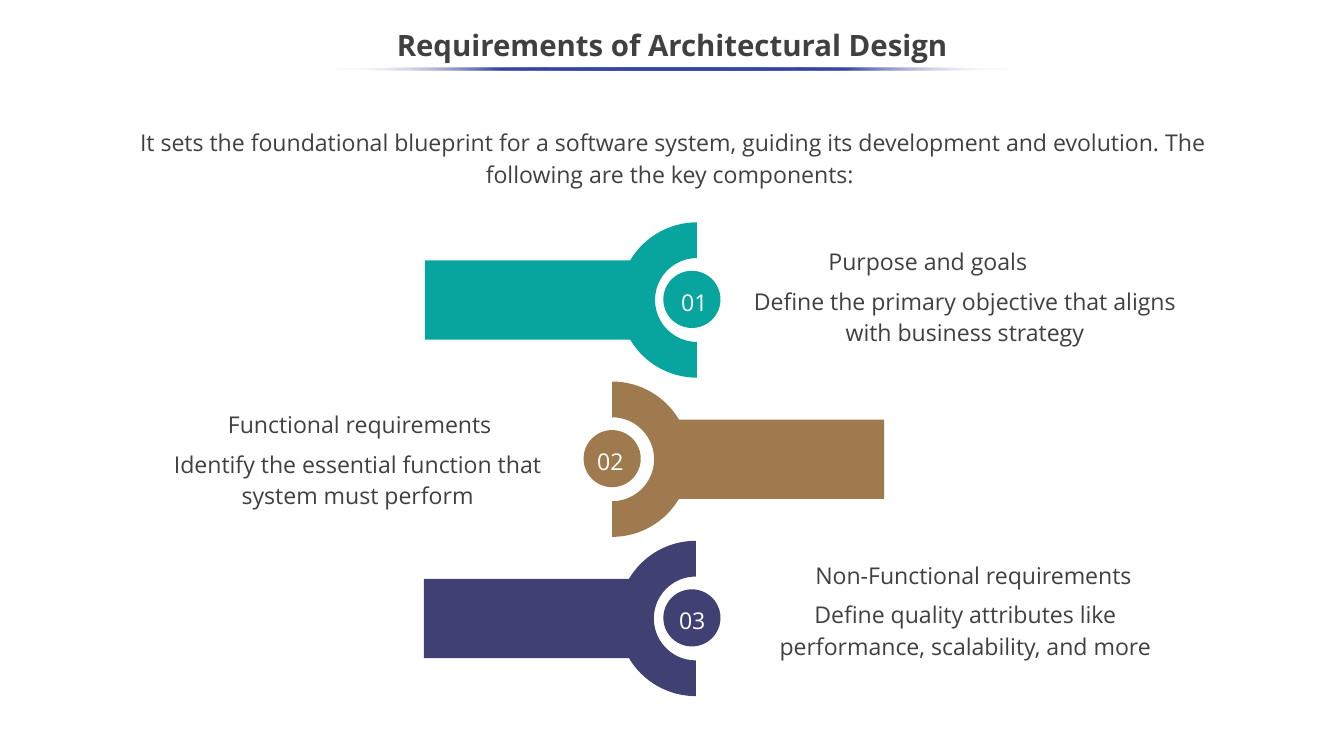
from dataclasses import dataclass
from math import asin, cos, degrees, sin

from lxml.etree import SubElement
from pptx import Presentation
from pptx.dml.color import RGBColor
from pptx.enum.shapes import MSO_SHAPE as Preset
from pptx.enum.text import MSO_ANCHOR as Anchor, PP_ALIGN as Align
from pptx.oxml.ns import qn
from pptx.shapes.autoshape import Shape
from pptx.slide import Slide
from pptx.util import Cm, Pt


@dataclass(frozen=True)
class Theme:
    font: str = "Open Sans"
    text: str = "404040"
    white: str = "FFFFFF"
    rule: str = "3645A9"
    teal: str = "07A59D"
    brown: str = "9F7A4E"
    indigo: str = "404172"
    title_size: int = 28
    body_size: int = 22


@dataclass(frozen=True)
class Box:
    left: float
    top: float
    width: float
    height: float

    def lengths(self) -> list[Cm]:
        return [Cm(v) for v in (self.left, self.top, self.width, self.height)]


@dataclass(frozen=True)
class Requirement:
    number: str
    heading: str
    detail: str
    color: str
    tail: int  # direction of the bar: -1 left, 1 right
    edge_x: float
    disc_x: float
    number_x: float
    heading_box: Box
    detail_left: float
    detail_width: float


THEME = Theme()
PAGE_WIDTH, PAGE_HEIGHT = 45.16, 25.4
FIRST_ROW, ROW_GAP = 10.08, 5.35
OUTER_RADIUS, INNER_RADIUS = 2.61, 1.41
BAR_REACH, BAR_HALF = 9.14, 1.33
DISC_SIZE = 1.92
LABEL_HEIGHT, DETAIL_HEIGHT, DETAIL_DROP = 1.24, 2.46, 1.22

REQUIREMENTS = [
    Requirement("01", "Purpose and goals",
                "Define the primary objective that aligns with business strategy",
                THEME.teal, -1, 23.42, 23.25, 23.33,
                Box(26.97, 8.1, 8.41, LABEL_HEIGHT), 24.43, 15.98),
    Requirement("02", "Functional requirements",
                "Identify the essential function that system must perform",
                THEME.brown, 1, 20.57, 20.57, 20.51,
                Box(6.99, 13.59, 10.19, LABEL_HEIGHT), 4.75, 14.53),
    Requirement("03", "Non-Functional requirements",
                "Define quality attributes like performance, scalability, and more",
                THEME.indigo, -1, 23.38, 23.25, 23.26,
                Box(25.94, 18.64, 13.54, LABEL_HEIGHT), 25.17, 14.53),
]


def add_text(page: Slide, box: Box, text: str, color: str = THEME.text,
             size: int = THEME.body_size, bold: bool = False,
             anchor: Anchor = Anchor.MIDDLE, spacing: float = 1.13,
             margins: tuple[float, float] = (0.25, 0.13)) -> None:
    frame = page.shapes.add_textbox(*box.lengths()).text_frame
    frame.word_wrap = True
    frame.vertical_anchor = anchor
    frame.margin_left = frame.margin_right = Cm(margins[0])
    frame.margin_top = frame.margin_bottom = Cm(margins[1])
    frame.text = text
    para = frame.paragraphs[0]
    para.alignment = Align.CENTER
    para.line_spacing = spacing
    for span in para.runs:
        span.font.name = THEME.font
        span.font.size = Pt(size)
        span.font.bold = bold
        span.font.color.rgb = RGBColor.from_string(color)


def paint(shape: Shape, color: str) -> None:
    shape.shadow.inherit = False
    shape.fill.solid()
    shape.fill.fore_color.rgb = RGBColor.from_string(color)
    shape.line.fill.background()


def add_title_rule(page: Slide) -> None:
    rule = page.shapes.add_shape(Preset.OVAL, *Box(11, 2.26, 23.14, 0.1).lengths())
    paint(rule, THEME.rule)
    rule.fill.gradient()
    rule.fill.gradient_angle = 0
    # Gradient stops, clear at both ends
    stops = next(rule.element.iter(qn("a:gsLst")))
    for stop in list(stops):
        stops.remove(stop)
    for percent in (0, 25, 50, 75, 100):
        is_end = percent in (0, 100)
        stop = SubElement(stops, qn("a:gs"), pos=str(percent * 1000))
        color = SubElement(stop, qn("a:srgbClr"), val=THEME.white if is_end else THEME.rule)
        if is_end:
            SubElement(color, qn("a:alpha"), val="0")


def bend(segment, radius: float, start: float, sweep: float, tail: int) -> None:
    """Turn a straight path segment into an arc, mirrored for a left tail."""
    if tail < 0:
        start, sweep = 180 - start, -sweep
    segment.clear()
    segment.tag = qn("a:arcTo")
    segment.set("wR", str(Cm(radius)))
    segment.set("hR", str(Cm(radius)))
    segment.set("stAng", str(round(start % 360 * 60000)))
    segment.set("swAng", str(round(sweep * 60000)))


def add_hook(page: Slide, edge_x: float, row_y: float, tail: int, color: str) -> None:
    """A half ring opening away from the bar that it holds."""
    join = asin(BAR_HALF / OUTER_RADIUS)
    join_x, join_y = OUTER_RADIUS * cos(join), OUTER_RADIUS * sin(join)
    outline = [
        (0, -OUTER_RADIUS), (join_x, -join_y),
        (BAR_REACH, -BAR_HALF), (BAR_REACH, BAR_HALF),
        (join_x, join_y), (0, OUTER_RADIUS),
        (0, INNER_RADIUS), (0, -INNER_RADIUS),
    ]
    points = [(Cm(edge_x + tail * x), Cm(row_y + y)) for x, y in outline]
    builder = page.shapes.build_freeform(*points[0])
    builder.add_line_segments(points[1:], close=True)
    hook = builder.convert_to_shape()
    segments = list(hook.element.iter(qn("a:lnTo")))
    shoulder = 90 - degrees(join)
    bend(segments[0], OUTER_RADIUS, -90, shoulder, tail)
    bend(segments[4], OUTER_RADIUS, degrees(join), shoulder, tail)
    bend(segments[6], INNER_RADIUS, 90, -180, tail)
    paint(hook, color)


def add_requirement(page: Slide, item: Requirement, row_y: float) -> None:
    # Hook and numbered disc
    add_hook(page, item.edge_x, row_y, item.tail, item.color)
    disc = Box(item.disc_x - DISC_SIZE / 2, row_y - 0.02 - DISC_SIZE / 2, DISC_SIZE, DISC_SIZE)
    paint(page.shapes.add_shape(Preset.OVAL, *disc.lengths()), item.color)
    number_width = 1.75
    add_text(page, Box(item.number_x - number_width / 2, row_y - LABEL_HEIGHT / 2,
                       number_width, LABEL_HEIGHT), item.number, THEME.white)
    # Heading and detail
    add_text(page, item.heading_box, item.heading)
    add_text(page, Box(item.detail_left, item.heading_box.top + DETAIL_DROP,
                       item.detail_width, DETAIL_HEIGHT),
             item.detail, anchor=Anchor.TOP, margins=(0.41, 0.2))


def main() -> None:
    deck = Presentation()
    deck.slide_width, deck.slide_height = Cm(PAGE_WIDTH), Cm(PAGE_HEIGHT)
    page = deck.slides.add_slide(deck.slide_layouts[6])

    # Title and introduction
    add_text(page, Box(0, 0.64, PAGE_WIDTH, 1.9), "Requirements of Architectural Design",
             size=THEME.title_size, bold=True, spacing=0.9)
    add_title_rule(page)
    add_text(page, Box(3.58, 4.19, 38.05, 2.51),
             "It sets the foundational blueprint for a software system, guiding its "
             "development and evolution. The following are the key components: ",
             anchor=Anchor.TOP, spacing=1.14, margins=(0.25, 0))

    # Three alternating rows
    for index, item in enumerate(REQUIREMENTS):
        add_requirement(page, item, FIRST_ROW + index * ROW_GAP)

    deck.save("out.pptx")


if __name__ == "__main__":
    main()
